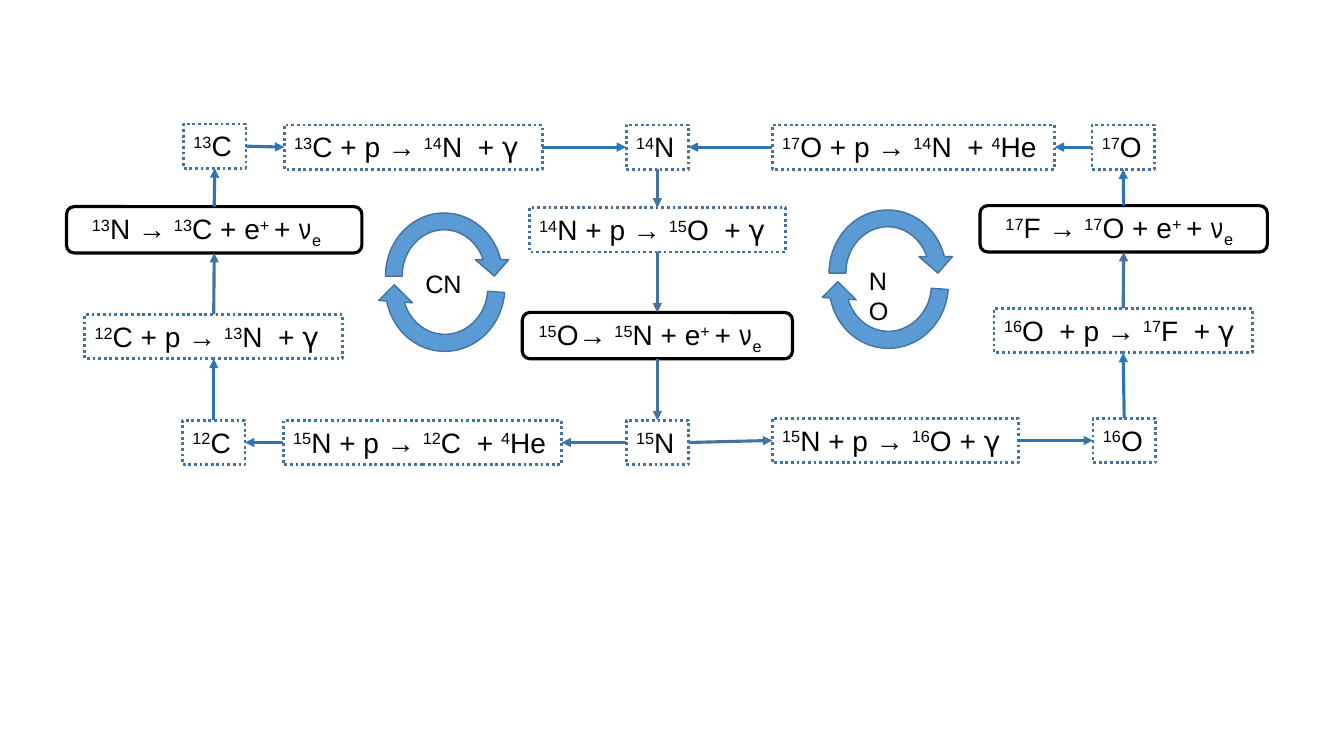
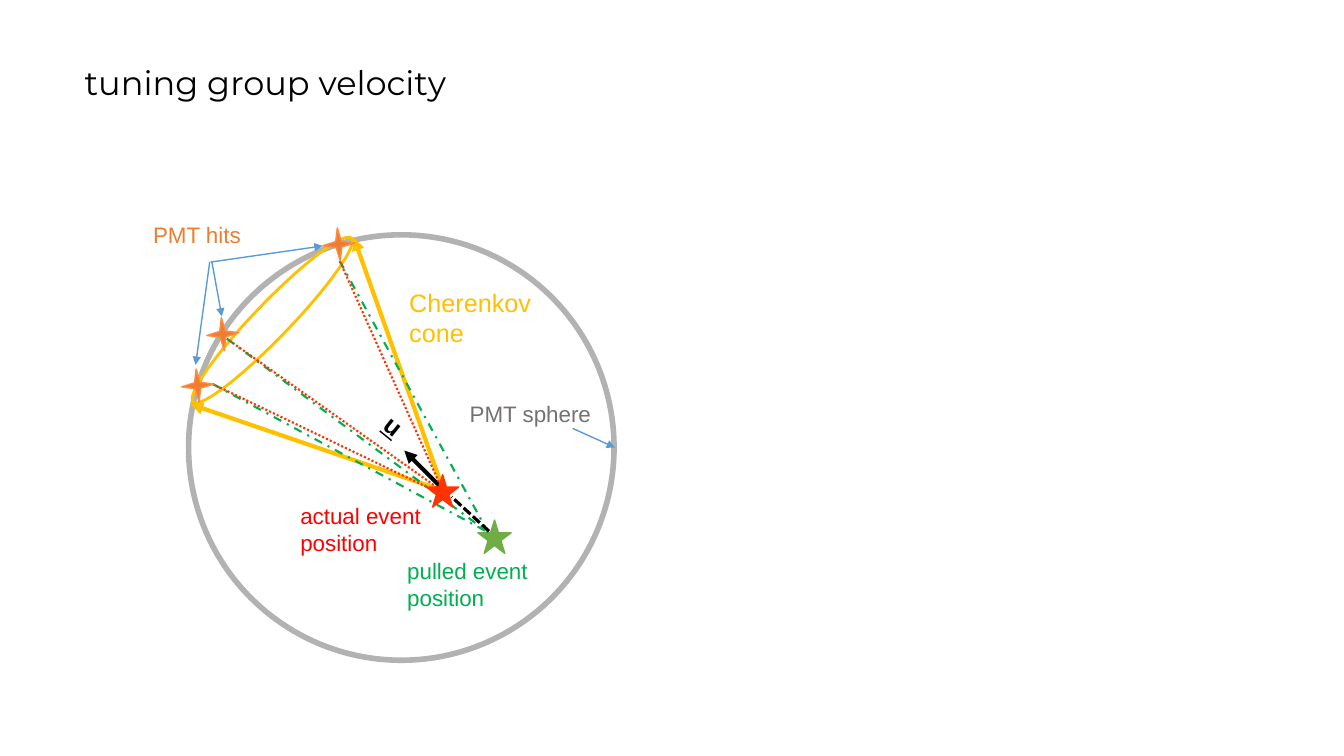
from pptx import Presentation
from pptx.dml.color import RGBColor
from pptx.enum.dml import MSO_LINE
from pptx.enum.shapes import MSO_CONNECTOR, MSO_SHAPE
from pptx.enum.text import MSO_ANCHOR, PP_ALIGN
from pptx.oxml.ns import qn
from pptx.util import Pt
from lxml.etree import SubElement

PX = 9144  # EMU in a px, 100 px to the inch
BLACK, BLUE, STEEL, SKY = "000000", "2E75B6", "43739E", "5B9BD5"
GOLD, RED, GREEN, GREY = "FFC000", "FF3300", "00B050", "B2B2B2"
ORANGE, LEAF = "ED7D31", "70AD47"
FONTS = {"γ": "DejaVu Sans", "ν": "TeX Gyre Adventor"}
BASES = {"^": "30000", "_": "-25000"}
TOP, LEFT, BOTTOM, RIGHT = range(4)

hue = RGBColor.from_string


def add(page, box, kind=None, fill=None, line=None, width=1, dash=None, turn=0,
        text="", size=20, ink=BLACK, font="Arial", wrap=True):
    """Add a shape, or a text box if kind is None.

    A bar splits the text into runs; ^ raises a run and _ lowers it.
    """
    place = [n * PX for n in box]
    if kind is None:
        item = page.shapes.add_textbox(*place)
    else:
        item = page.shapes.add_shape(kind, *place)
        item.shadow.inherit = False
    item.rotation = turn
    if fill:
        item.fill.solid()
        item.fill.fore_color.rgb = hue(fill)
    else:
        item.fill.background()
    if line:
        item.line.color.rgb = hue(line)
        item.line.width = Pt(width)
        item.line.dash_style = dash
    if text:
        frame = item.text_frame
        frame.word_wrap = wrap
        frame.vertical_anchor = MSO_ANCHOR.TOP
        frame.text = text.replace("|", "") if "|" not in text else ""
        for para in frame.paragraphs:
            para.alignment = PP_ALIGN.LEFT
        if "|" in text:
            for part in text.split("|"):
                run = frame.paragraphs[0].add_run()
                run.text = part.lstrip("^_")
                if part[0] in BASES:
                    run._r.get_or_add_rPr().set("baseline", BASES[part[0]])
        for para in frame.paragraphs:
            for run in para.runs:
                run.font.size = Pt(size)
                run.font.name = FONTS.get(run.text, font)
                run.font.color.rgb = hue(ink)
    return item


def link(page, start, end, ink, width, dash=None, arrow=True):
    """Draw a straight line between two points."""
    ends = [n * PX for n in (*start, *end)]
    wire = page.shapes.add_connector(MSO_CONNECTOR.STRAIGHT, *ends)
    wire.line.color.rgb = hue(ink)
    wire.line.width = Pt(width)
    wire.line.dash_style = dash
    if arrow:
        SubElement(wire.line._ln, qn("a:tailEnd"), type="triangle")
    SubElement(wire._element.spPr, qn("a:effectLst"))
    return wire


deck = Presentation()
deck.slide_width, deck.slide_height = 1333 * PX, 750 * PX
blank = deck.slide_layouts[6]

# Slide 1: the CN and NO cycles
page = deck.slides.add_slide(blank)
steps = {
    "C12": (181, 417, 62, "^12|C"),
    "C13": (182, 123, 62, "^13|C"),
    "N14": (621, 124, 62, "^14|N"),
    "N15": (621, 417, 62, "^15|N"),
    "O16": (1084, 415, 62, "^16|O"),
    "O17": (1083, 124, 62, "^17|O"),
    "C12+p": (84, 312, 256, "^12|C + p → |^13|N  + |γ"),
    "C13+p": (282, 124, 256, "^13|C + p → |^14|N  + |γ"),
    "N14+p": (525, 206, 254, "^14|N + p → |^15|O  + |γ"),
    "N15+p He": (281, 417, 276, "^15|N + p → |^12|C  + |^4|He"),
    "N15+p": (766, 415, 244, "^15|N + p → |^16|O + |γ"),
    "O16+p": (986, 306, 256, "^16|O  + p → |^17|F  + |γ"),
    "O17+p": (766, 124, 280, "^17|O + p → |^14|N  + |^4|He"),
}
decays = {
    "N13": (66, 205, 293, 23, "^13|N → |^13|C + e|^+ |+ |ν|_e"),
    "O15": (518, 310, 268, 14, "^15|O→ |^15|N + e|^+ |+ |ν|_e"),
    "F17": (972, 204, 285, 23, "^17|F → |^17|O + e|^+ |+ |ν|_e"),
}
nodes = {}
for name, (x, y, w, text) in steps.items():
    nodes[name] = add(page, (x, y, w, 44), line=STEEL, width=2,
                      dash=MSO_LINE.ROUND_DOT, text=text)
for name, (x, y, w, inset, text) in decays.items():
    node = add(page, (x, y, w, 46), MSO_SHAPE.ROUNDED_RECTANGLE,
               line=BLACK, width=2.25, text=text)
    node.text_frame.margin_left = inset * PX
    node.text_frame.margin_right = 0
    node.text_frame.margin_top = 3 * PX
    nodes[name] = node

flows = [
    ("C12", TOP, "C12+p", BOTTOM, BLUE),
    ("C12+p", TOP, "N13", BOTTOM, STEEL),
    ("N13", TOP, "C13", BOTTOM, BLUE),
    ("C13", RIGHT, "C13+p", LEFT, BLUE),
    ("C13+p", RIGHT, "N14", LEFT, BLUE),
    ("N14", BOTTOM, "N14+p", TOP, STEEL),
    ("N14+p", BOTTOM, "O15", TOP, STEEL),
    ("O15", BOTTOM, "N15", TOP, STEEL),
    ("N15", LEFT, "N15+p He", RIGHT, STEEL),
    ("N15+p He", LEFT, "C12", RIGHT, BLUE),
    ("N15", RIGHT, "N15+p", LEFT, STEEL),
    ("N15+p", RIGHT, "O16", LEFT, BLUE),
    ("O16", TOP, "O16+p", BOTTOM, BLUE),
    ("O16+p", TOP, "F17", BOTTOM, STEEL),
    ("F17", TOP, "O17", BOTTOM, BLUE),
    ("O17", LEFT, "O17+p", RIGHT, BLUE),
    ("O17+p", LEFT, "N14", RIGHT, BLUE),
]
for start, exit, end, entry, ink in flows:
    wire = link(page, (0, 0), (0, 0), ink, 2.25)
    wire.begin_connect(nodes[start], exit)
    wire.end_connect(nodes[end], entry)

for x, y, text in ((374, 203, "CN"), (814, 200, "NO")):
    for top, w, turn in ((y + 12, 135, 184), (y, 133, 0)):
        add(page, (x, top, w, 142), MSO_SHAPE.CIRCULAR_ARROW,
            fill=SKY, line=STEEL, turn=turn)
    add(page, (x + 38, y + 58, 57, 40), text=text, size=18, wrap=False)

# Slide 2: event position inside the sphere
page = deck.slides.add_slide(blank)
title = add(page, (74, 11, 1150, 145), text="tuning group velocity",
            size=24, font="Montserrat")
title.text_frame.vertical_anchor = MSO_ANCHOR.MIDDLE
title.text_frame.paragraphs[0].line_spacing = 0.9

add(page, (187, 233, 422, 422), MSO_SHAPE.OVAL, line=GREY, width=4)
for edge in ((189, 401), (351, 236)):
    link(page, (440, 487), edge, GOLD, 3)
add(page, (157, 300, 226, 35), MSO_SHAPE.OVAL, line=GOLD, width=2, turn=134)
link(page, (436, 482), (401, 447), BLACK, 3)
add(page, (474, 516, 33, 33), MSO_SHAPE.STAR_5_POINT, fill=LEAF, line=LEAF)

rays = [
    ((211, 381), (423, 483)),
    ((225, 336), (437, 486)),
    ((337, 259), (437, 482)),
]
for hit, source in rays:
    link(page, hit, (484, 528), GREEN, 1.5, MSO_LINE.DASH_DOT, False)
    link(page, source, hit, RED, 1.5, MSO_LINE.ROUND_DOT, False)
add(page, (423, 471, 32, 32), MSO_SHAPE.STAR_5_POINT, fill=RED, line=RED)
link(page, (485, 527), (448, 493), BLACK, 2.25, MSO_LINE.SQUARE_DOT, False)

for x, y in ((180, 366), (205, 315), (320, 226)):
    add(page, (x, y, 32, 33), MSO_SHAPE.STAR_4_POINT,
        fill=ORANGE, line="FF8D41", turn=355)
for start, end in (((209, 260), (320, 244)), ((208, 260), (194, 362)),
                   ((210, 259), (220, 314)), ((568, 425), (610, 444))):
    link(page, start, end, SKY, 1)

labels = [
    ((142, 214, 107, 37), "PMT hits", 16, ORANGE, False),
    ((456, 392, 149, 37), "PMT sphere", 16, "767171", False),
    ((288, 493, 175, 64), "actual event position", 16, "FF0000", True),
    ((394, 548, 175, 64), "pulled event position", 16, GREEN, True),
    ((396, 280, 141, 71), "Cherenkov\ncone", 18, GOLD, False),
]
for box, text, size, ink, wrap in labels:
    add(page, box, text=text, size=size, ink=ink, wrap=wrap)
vector = add(page, (374, 400, 27, 40), text="u", size=18, turn=39)
face = vector.text_frame.paragraphs[0].runs[0].font
face.bold = face.underline = True

deck.save("out.pptx")
